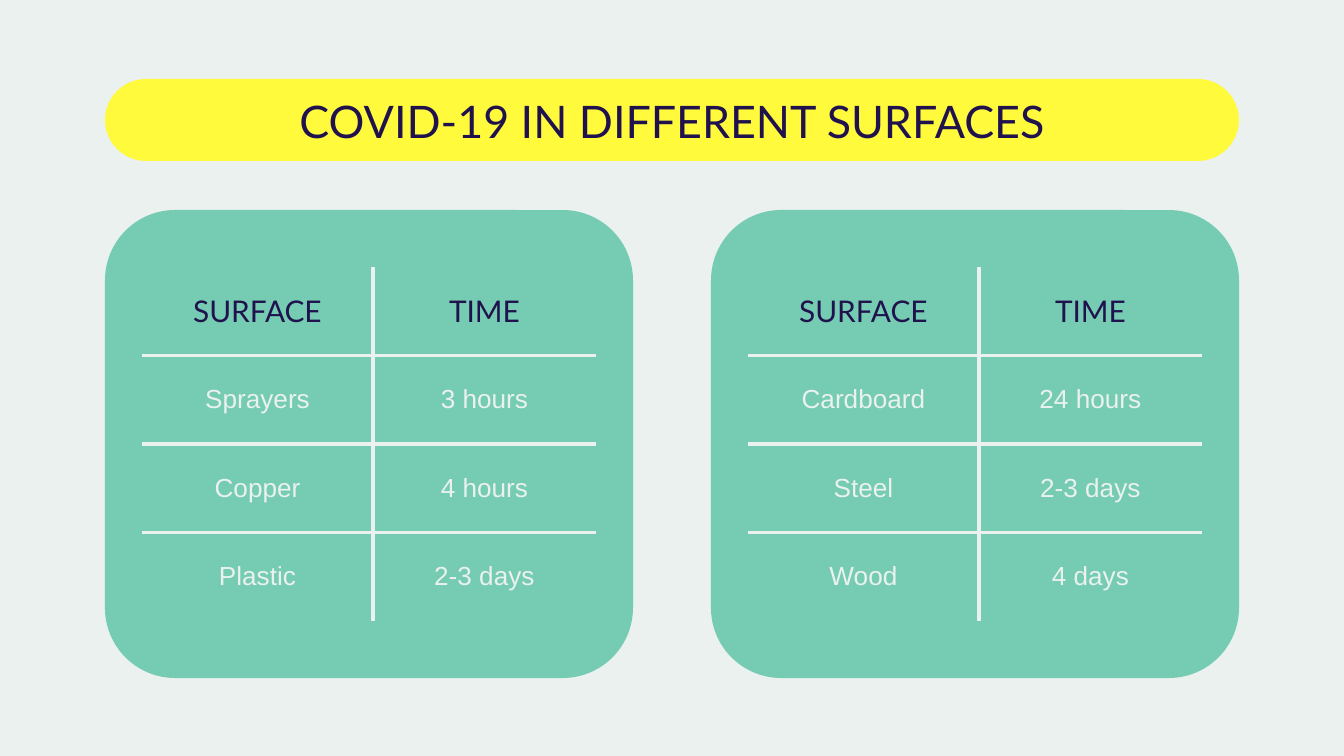
from lxml.etree import SubElement
from pptx import Presentation
from pptx.dml.color import RGBColor
from pptx.enum.shapes import MSO_SHAPE
from pptx.enum.text import MSO_ANCHOR, PP_ALIGN
from pptx.oxml.ns import qn
from pptx.util import Emu, Pt

PX = 914400 / 134.4
COLORS = {"paper": "EAF1EE", "yellow": "FFFA3B", "green": "75CCB2", "navy": "20124D"}
TITLE = {"name": "Lato", "size": Pt(24), "color": "navy"}
HEAD = {"name": "Lato", "size": Pt(16), "color": "navy"}
BODY = {"name": "Arial", "size": Pt(14), "color": "paper"}
INSET = 13
RULE = Pt(2.25)

HEADER = ("SURFACE", "TIME")
PANELS = [
    (105, [("Sprayers", "3 hours"), ("Copper", "4 hours"), ("Plastic", "2-3 days")]),
    (711, [("Cardboard", "24 hours"), ("Steel", "2-3 days"), ("Wood", "4 days")]),
]
COLUMNS = (231, 223)


def px(n):
    return Emu(round(n * PX))


def box(*lengths):
    return [px(n) for n in lengths]


def rgb(color):
    return RGBColor.from_string(COLORS[color])


def paint(fill, color):
    fill.solid()
    fill.fore_color.rgb = rgb(color)


def write(tf, text, style):
    p = tf.paragraphs[0]
    p.alignment = PP_ALIGN.CENTER
    r = p.add_run()
    r.text = text
    for key, value in style.items():
        if key == "color":
            r.font.color.rgb = rgb(value)
        else:
            setattr(r.font, key, value)


def set_margins(holder):
    for side in ("left", "right", "top", "bottom"):
        setattr(holder, f"margin_{side}", px(INSET))


def add_round_rect(s, place, color, radius):
    sp = s.shapes.add_shape(MSO_SHAPE.ROUNDED_RECTANGLE, *box(*place))
    sp.adjustments[0] = radius
    sp.shadow.inherit = False
    sp.line.fill.background()
    paint(sp.fill, color)


def add_title(s, text, place):
    tf = s.shapes.add_textbox(*box(*place)).text_frame
    tf.word_wrap = True
    tf.vertical_anchor = MSO_ANCHOR.MIDDLE
    set_margins(tf)
    write(tf, text, TITLE)


def set_borders(cell, inner):
    """Rule the inner sides of a cell and leave the outer ones bare."""
    tcPr = cell._tc.get_or_add_tcPr()
    for i, (side, shown) in enumerate(inner.items()):
        ln = SubElement(tcPr, qn(f"a:ln{side}"), w=str(RULE))
        if shown:
            fill = SubElement(ln, qn("a:solidFill"))
            SubElement(fill, qn("a:srgbClr"), val=COLORS["paper"])
        else:
            SubElement(ln, qn("a:noFill"))
        tcPr.insert(i, ln)


def add_grid(s, rows, place):
    table = s.shapes.add_table(len(rows), len(COLUMNS), *box(*place)).table
    table.first_row = table.horz_banding = False
    for column, width in zip(table.columns, COLUMNS):
        column.width = px(width)
    for i, row in enumerate(rows):
        for j, text in enumerate(row):
            cell = table.cell(i, j)
            cell.vertical_anchor = MSO_ANCHOR.MIDDLE
            set_margins(cell)
            paint(cell.fill, "green")
            write(cell.text_frame, text, BODY if i else HEAD)
            set_borders(cell, {"L": j > 0, "R": j < len(row) - 1,
                               "T": i > 0, "B": i < len(rows) - 1})


def main():
    prs = Presentation()
    prs.slide_width, prs.slide_height = px(1344), px(756)
    s = prs.slides.add_slide(prs.slide_layouts[6])
    paint(s.background.fill, "paper")

    # Title bar
    add_round_rect(s, (105, 79, 1134, 82), "yellow", 0.5)
    add_title(s, "COVID-19 IN DIFFERENT SURFACES", (256, 81, 832, 80))

    # Panels with their tables
    for left, rows in PANELS:
        add_round_rect(s, (left, 210, 528, 468), "green", 0.15)
        add_grid(s, [HEADER] + rows, (left + 37, 267, sum(COLUMNS), 354))

    prs.save("out.pptx")


if __name__ == "__main__":
    main()
